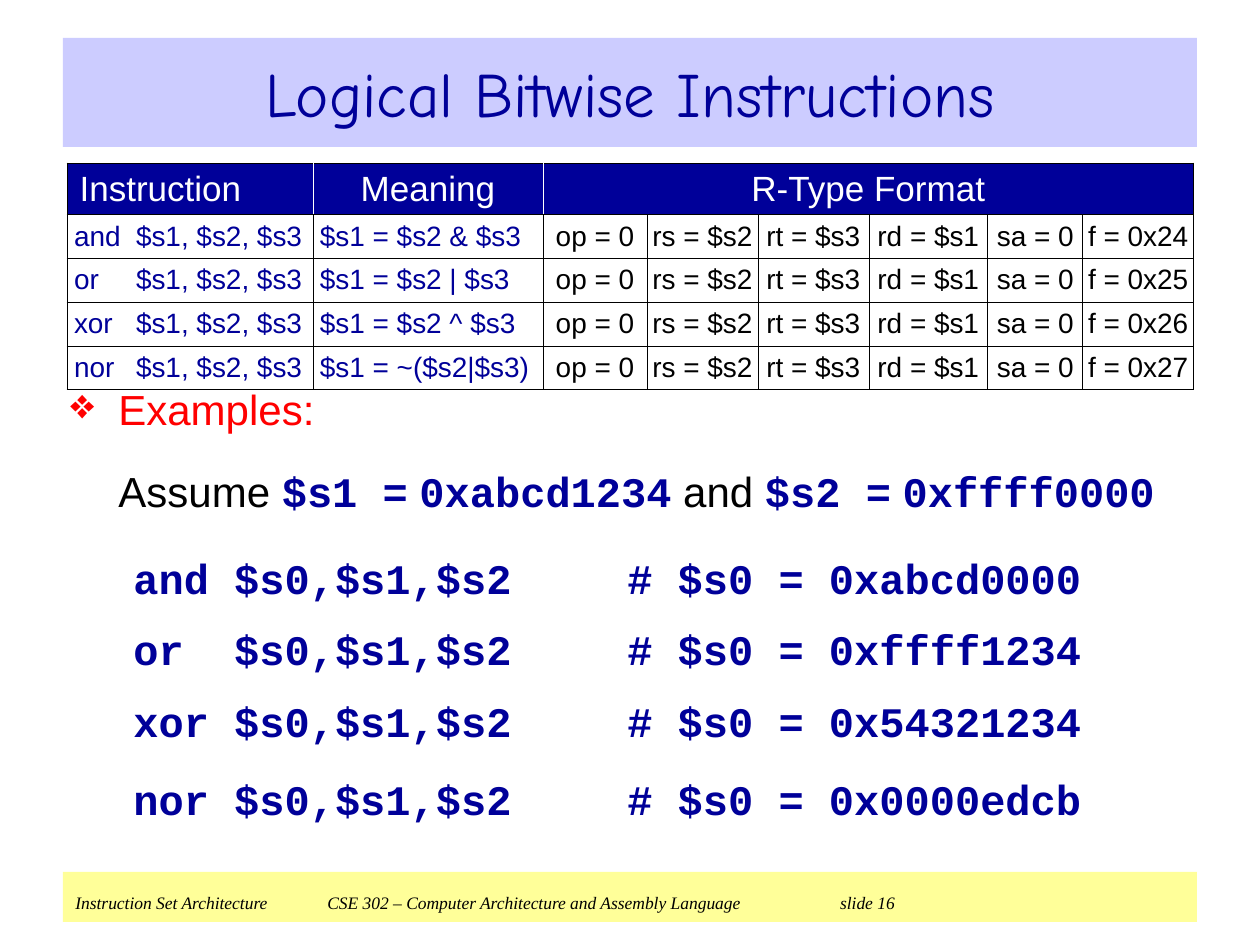
from lxml.etree import SubElement
from pptx import Presentation
from pptx.dml.color import RGBColor
from pptx.enum.shapes import MSO_SHAPE
from pptx.enum.text import MSO_ANCHOR, MSO_AUTO_SIZE, PP_ALIGN
from pptx.oxml import parse_xml
from pptx.oxml.ns import nsdecls, qn
from pptx.util import Pt

PX = 914400 // 126

NAVY = RGBColor(0x00, 0x00, 0x99)
LAVENDER = RGBColor(0xCC, 0xCC, 0xFF)
YELLOW = RGBColor(0xFF, 0xFF, 0x99)
RED = RGBColor(0xFF, 0x00, 0x00)
BLACK = RGBColor(0x00, 0x00, 0x00)
WHITE = RGBColor(0xFF, 0xFF, 0xFF)

SANS, MONO, SERIF, HAND = "Arial", "Courier New", "Times New Roman", "Comic Neue"

# Content
TITLE = "Logical Bitwise Instructions"
HEADINGS = ["Instruction", "Meaning", "R-Type Format"]
INSTRUCTIONS = [  # name, meaning, function code
    ("and", "$s1 = $s2 & $s3", "0x24"),
    ("or", "$s1 = $s2 | $s3", "0x25"),
    ("xor", "$s1 = $s2 ^ $s3", "0x26"),
    ("nor", "$s1 = ~($s2|$s3)", "0x27"),
]
OPERANDS = "$s1, $s2, $s3"
FIELDS = ["op = 0", "rs = $s2", "rt = $s3", "rd = $s1", "sa = 0"]
ASSUMPTION = [  # text, is code
    ("Assume ", False), ("$s1 =", True), (" ", False), ("0xabcd1234", True),
    (" and ", False), ("$s2 =", True), (" ", False), ("0xffff0000", True),
]
EXAMPLES = [  # top, code, result
    (546, "and $s0,$s1,$s2", "# $s0 = 0xabcd0000"),
    (617, "or  $s0,$s1,$s2", "# $s0 = 0xffff1234"),
    (689, "xor $s0,$s1,$s2", "# $s0 = 0x54321234"),
    (767, "nor $s0,$s1,$s2", "# $s0 = 0x0000edcb"),
]
FOOTER = "Instruction Set Architecture\tCSE 302 – Computer Architecture and Assembly Language \t"
SLIDE_NUMBER = "slide 16"

# Layout in px
BAND_LEFT, BAND_WIDTH = 63, 1134
COLUMNS = [246, 230, 104, 111, 111, 119, 95, 111]
ROWS = [44, 39, 39, 39, 39]
CODE_BOX, RESULT_BOX, EXAMPLE_HEIGHT = (121, 430), (615, 479), 63


def px(*lengths):
    return [length * PX for length in lengths]


def style(run, size, font, color, bold=False, italic=False):
    run.font.size, run.font.name = Pt(size), font
    run.font.color.rgb = color
    run.font.bold, run.font.italic = bold, italic


def add_run(paragraph, text, *look, **flags):
    run = paragraph.add_run()
    run.text = text
    style(run, *look, **flags)


def set_tabs(paragraph, *stops):
    tabs = SubElement(paragraph._p.get_or_add_pPr(), qn("a:tabLst"))
    for stop in stops:
        SubElement(tabs, qn("a:tab"), pos=str(stop * PX), algn="l")


def add_band(slide, top, height, color):
    band = slide.shapes.add_shape(
        MSO_SHAPE.RECTANGLE, *px(BAND_LEFT, top, BAND_WIDTH, height))
    band.shadow.inherit = False
    band.fill.solid()
    band.fill.fore_color.rgb = color
    band.line.fill.background()
    band.text_frame.word_wrap = True
    return band.text_frame


def fill_cell(cell, text, size, color, align):
    paragraph = cell.text_frame.paragraphs[0]
    paragraph.text = text
    paragraph.alignment = align
    style(paragraph.runs[0], size, SANS, color)
    return paragraph


def set_borders(cell, left=BLACK, right=BLACK):
    sides = [("L", left), ("R", right), ("T", BLACK), ("B", BLACK)]
    for index, (side, color) in enumerate(sides):
        cell._tc.get_or_add_tcPr().insert(index, parse_xml(
            f'<a:ln{side} {nsdecls("a")} w="5715"><a:solidFill>'
            f'<a:srgbClr val="{color}"/></a:solidFill></a:ln{side}>'))


def add_instruction_table(slide):
    table = slide.shapes.add_table(
        len(ROWS), len(COLUMNS), *px(67, 163, sum(COLUMNS), sum(ROWS))).table
    table.first_row = table.horz_banding = False
    for column, width in zip(table.columns, COLUMNS):
        column.width = width * PX
    for row, height in zip(table.rows, ROWS):
        row.height = height * PX

    # Header
    table.cell(0, 2).merge(table.cell(0, len(COLUMNS) - 1))
    for index in range(len(COLUMNS)):
        cell = table.cell(0, index)
        cell.fill.solid()
        cell.fill.fore_color.rgb = NAVY
        set_borders(cell, WHITE if index in (1, 2) else BLACK,
                    WHITE if index in (0, 1) else BLACK)
    for index, heading in enumerate(HEADINGS):
        align = PP_ALIGN.CENTER if index else PP_ALIGN.LEFT
        fill_cell(table.cell(0, index), heading, 20, WHITE, align)

    # One row per instruction
    for row, (name, meaning, function) in enumerate(INSTRUCTIONS, 1):
        texts = [f"{name}\t{OPERANDS}", meaning, *FIELDS, f"f = {function}"]
        for index, text in enumerate(texts):
            cell = table.cell(row, index)
            is_field = index > 1
            cell.fill.background()
            set_borders(cell)
            cell.margin_left, cell.margin_right = px(2 if is_field else 7, 2)
            paragraph = fill_cell(cell, text, 16, BLACK if is_field else NAVY,
                                  PP_ALIGN.CENTER if is_field else PP_ALIGN.LEFT)
            if index == 0:
                set_tabs(paragraph, 62)


def add_examples_intro(slide):
    intro = slide.shapes.add_textbox(*px(58, 377, 1143, 142)).text_frame
    intro.word_wrap = True
    label, assumption = intro.paragraphs[0], intro.add_paragraph()
    for paragraph, hanging in ((label, -48), (assumption, 0)):
        properties = paragraph._p.get_or_add_pPr()
        properties.set("marL", str(48 * PX))
        properties.set("indent", str(hanging * PX))
    bullet_color = SubElement(label._p.pPr, qn("a:buClr"))
    SubElement(bullet_color, qn("a:srgbClr"), val=str(RED))
    SubElement(label._p.pPr, qn("a:buChar"), char="❖")
    add_run(label, "Examples:", 24, SANS, RED)
    assumption.space_before = Pt(18)
    for text, is_code in ASSUMPTION:
        look = (MONO, NAVY) if is_code else (SANS, BLACK)
        add_run(assumption, text, 24, *look, bold=is_code)


def add_code(slide, left, top, width, text, wrap):
    code = slide.shapes.add_textbox(*px(left, top, width, EXAMPLE_HEIGHT)).text_frame
    code.word_wrap = wrap
    code.auto_size = MSO_AUTO_SIZE.SHAPE_TO_FIT_TEXT
    add_run(code.paragraphs[0], text, 24, MONO, NAVY, bold=True)


def main():
    deck = Presentation()
    deck.slide_width, deck.slide_height = px(1260, 945)
    slide = deck.slides.add_slide(deck.slide_layouts[6])

    # Footer band
    footer = add_band(slide, 872, 50, YELLOW)
    footer.vertical_anchor = MSO_ANCHOR.TOP
    line = footer.paragraphs[0]
    line.alignment = PP_ALIGN.LEFT
    set_tabs(line, 252, 756)
    add_run(line, FOOTER, 10, SERIF, BLACK, italic=True)
    add_run(line, " ", 18, SANS, BLACK)
    add_run(line, SLIDE_NUMBER, 10, SERIF, BLACK, italic=True)

    # Title band
    title = add_band(slide, 38, 109, LAVENDER)
    title.vertical_anchor = MSO_ANCHOR.MIDDLE
    title.paragraphs[0].alignment = PP_ALIGN.CENTER
    add_run(title.paragraphs[0], TITLE, 36, HAND, NAVY)

    add_instruction_table(slide)
    add_examples_intro(slide)

    # Worked examples
    for top, code, result in EXAMPLES:
        for (left, width), text, wrap in ((CODE_BOX, code, True), (RESULT_BOX, result, False)):
            add_code(slide, left, top, width, text, wrap)

    deck.save("out.pptx")


if __name__ == "__main__":
    main()
